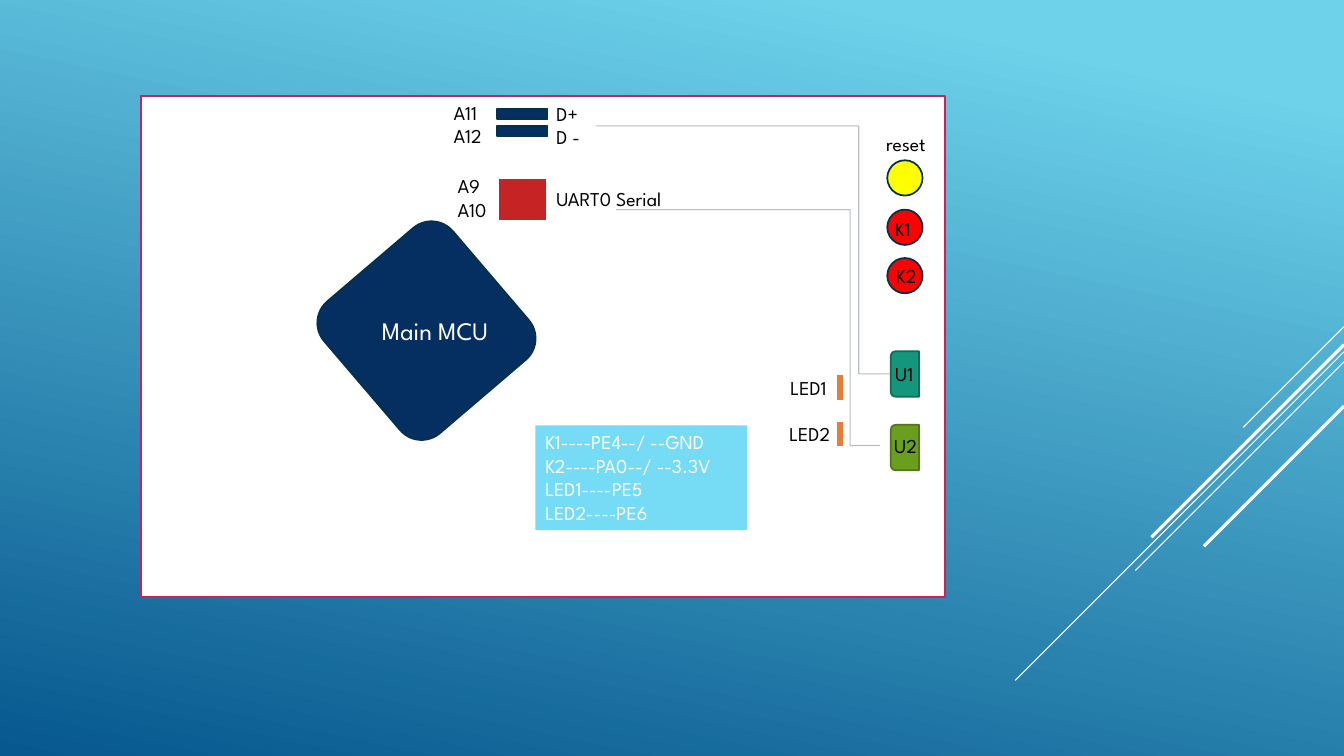
from lxml import etree
from pptx import Presentation
from pptx.dml.color import RGBColor
from pptx.enum.shapes import MSO_CONNECTOR, MSO_SHAPE
from pptx.enum.text import MSO_ANCHOR, MSO_AUTO_SIZE, PP_ALIGN
from pptx.oxml.ns import qn
from pptx.util import Pt

PX = 9144  # 100 px to the inch
FONT = "League Spartan"
RECT, ROUND = MSO_SHAPE.RECTANGLE, MSO_SHAPE.ROUNDED_RECTANGLE
OVAL, PORT = MSO_SHAPE.OVAL, MSO_SHAPE.ROUND_2_SAME_RECTANGLE
LINE, ELBOW = MSO_CONNECTOR.STRAIGHT, MSO_CONNECTOR.ELBOW
TOP, LEFT = MSO_ANCHOR.TOP, PP_ALIGN.LEFT
GROW = MSO_AUTO_SIZE.SHAPE_TO_FIT_TEXT

WHITE, BLACK = RGBColor(255, 255, 255), RGBColor(0, 0, 0)
SKY, SEA = RGBColor(0x6E, 0xD2, 0xEB), RGBColor(0x06, 0x58, 0x8E)
PINK, NAVY = RGBColor(0xC6, 0x23, 0x5F), RGBColor(0x05, 0x2F, 0x61)
EDGE, GRAY = RGBColor(0x04, 0x31, 0x48), RGBColor(0x89, 0x91, 0x9C)
YELLOW, RED = RGBColor(255, 255, 0), RGBColor(255, 0, 0)
TEAL, PINE = RGBColor(0x14, 0x96, 0x7C), RGBColor(0x0F, 0x6F, 0x4C)
GREEN, MOSS = RGBColor(0x6A, 0x9E, 0x1F), RGBColor(0x56, 0x75, 0x17)
ORANGE, BRICK = RGBColor(0xE8, 0x7D, 0x37), RGBColor(0xC6, 0x23, 0x24)
CYAN = RGBColor(0x76, 0xDB, 0xF4)

# Content: streaks run down to the left from the right edge (top, run, weight)
STREAKS = [(324, 100, 0.75), (349, 326, 0.75), (359, 207, 0.75),
           (342, 191, 2.25), (403, 139, 2.25)]
BOARD = (140, 95, 797, 497)
CHIP = (337, 244, 172, 168)
KEYS = [(159, YELLOW), (208, RED), (256, RED)]
PORTS = [(357, TEAL, PINE), (430, GREEN, MOSS)]
LEDS = [371, 417]
PINS = [108, 125]
SERIAL = (493, 176, 50, 44)
# Wires: start x, y, end x, y, place of the bend
WIRES = [(591, 125, 883, 371, 0.893), (611, 208, 873, 442, 0.886)]
LABELS = [
    ((542, 96, 48, 57), ["D+", "D -"]),
    ((440, 95, 64, 57), ["A11", "A12"]),
    ((444, 168, 64, 57), ["A9", "A10"]),
    ((542, 181, 156, 34), ["UART0 Serial"]),
    ((869, 126, 72, 34), ["reset"]),
    ((878, 210, 42, 34), ["K1"]),
    ((879, 257, 42, 34), ["K2"]),
    ((878, 354, 44, 34), ["U1"]),
    ((877, 426, 44, 34), ["U2"]),
    ((774, 368, 71, 34), ["LED1"]),
    ((773, 414, 71, 34), ["LED2"]),
]
NOTE = ["K1----PE4--/ --GND", "K2----PA0--/ --3.3V", "LED1----PE5", "LED2----PE6"]


def emu(*sizes):
    return [size * PX for size in sizes]


def shape(kind, box, fill, edge=None, weight=1.25, turn=0):
    part = slide.shapes.add_shape(kind, *emu(*box))
    part.shadow.inherit = False
    part.fill.solid()
    part.fill.fore_color.rgb = fill
    if edge is None:
        part.line.fill.background()
    else:
        part.line.color.rgb = edge
        part.line.width = Pt(weight)
    part.rotation = turn
    return part


def link(kind, ends, color, weight):
    wire = slide.shapes.add_connector(kind, *emu(*ends))
    wire.line.color.rgb = color
    wire.line.width = Pt(weight)
    etree.SubElement(wire._element.spPr, qn("a:effectLst"))
    return wire


def text(lines, box=None, part=None, size=14, color=BLACK):
    part = part or slide.shapes.add_textbox(*emu(*box))
    frame = part.text_frame
    frame.word_wrap = True
    frame.auto_size = GROW
    frame.vertical_anchor = TOP
    frame.text = "\n".join(lines)
    for para in frame.paragraphs:
        para.alignment = LEFT
        font = para.runs[0].font
        font.name, font.size = FONT, Pt(size)
        font.color.rgb = color


deck = Presentation()
deck.slide_width, deck.slide_height = emu(1333, 750)
slide = deck.slides.add_slide(deck.slide_layouts[6])

# Background
back = slide.background.fill
back.gradient()
back.gradient_angle = 360 - 102
for stop, color, place in zip(back.gradient_stops, (SKY, SEA), (0.1, 1)):
    stop.color.rgb = color
    stop.position = place
for top, run, weight in STREAKS:
    link(LINE, (1333, top, 1333 - run, top + run), WHITE, weight)

# Board and main chip
shape(RECT, BOARD, WHITE, PINK)
shape(ROUND, CHIP, NAVY, EDGE, turn=49.5)
text(["Main MCU"], box=(369, 308, 135, 40), size=18, color=WHITE)

# Keys, ports, lamps and pins
for top, fill in KEYS:
    shape(OVAL, (880, top, 35, 35), fill, EDGE)
for top, fill, edge in PORTS:
    shape(PORT, (875, top, 45, 28), fill, edge, turn=270)
for top in LEDS:
    shape(RECT, (829, top, 9, 27), ORANGE, WHITE, 2.25)
for top in PINS:
    shape(RECT, (493, top, 50, 10), NAVY, EDGE)
shape(RECT, SERIAL, BRICK, WHITE, 2.25)

# Labels and pin note
for box, lines in LABELS:
    text(lines, box=box)
text(NOTE, part=shape(RECT, (531, 422, 210, 104), CYAN), color=WHITE)

# Wires
for *ends, bend in WIRES:
    wire = link(ELBOW, ends, GRAY, 0.75)
    props = wire._element.spPr
    guides = props.find(qn("a:prstGeom")).find(qn("a:avLst"))
    etree.SubElement(guides, qn("a:gd"), name="adj1", fmla=f"val {round(bend * 100000)}")
    tint = next(props.iter(qn("a:srgbClr")))
    etree.SubElement(tint, qn("a:alpha"), val="60000")

deck.save("out.pptx")
